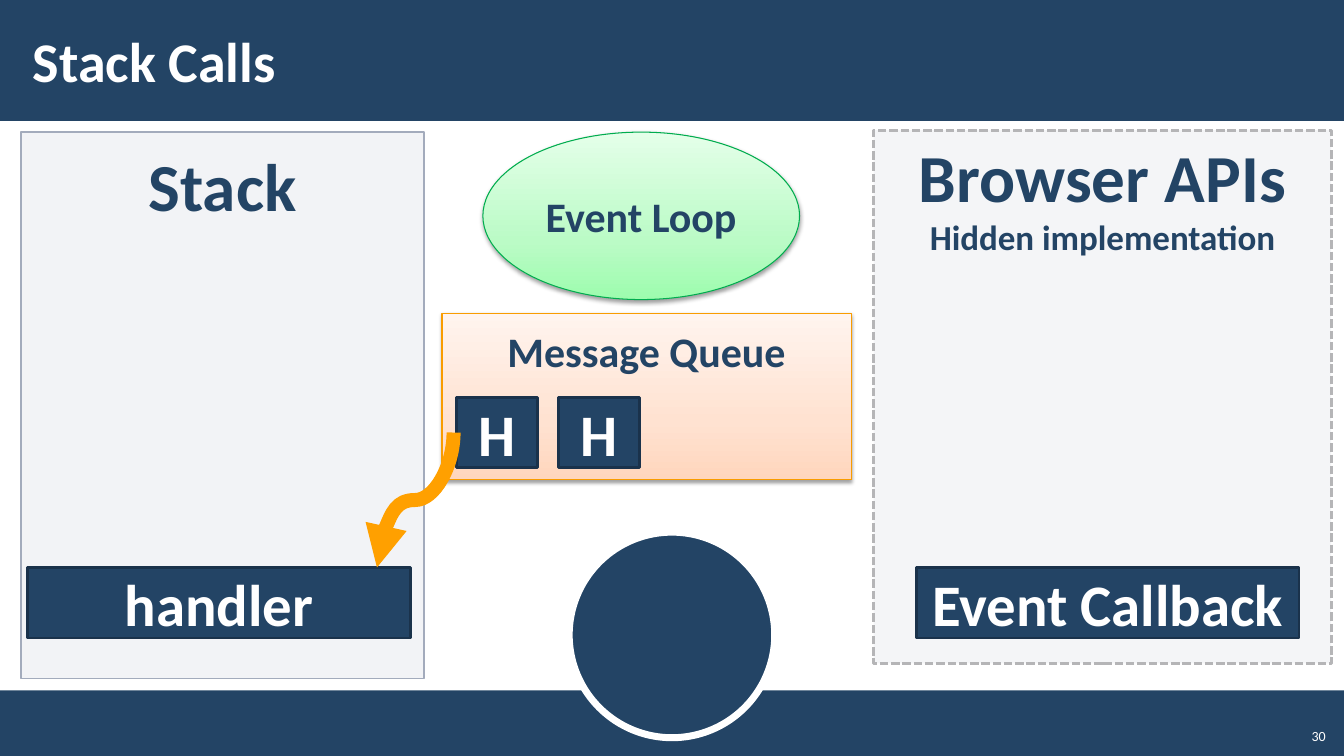
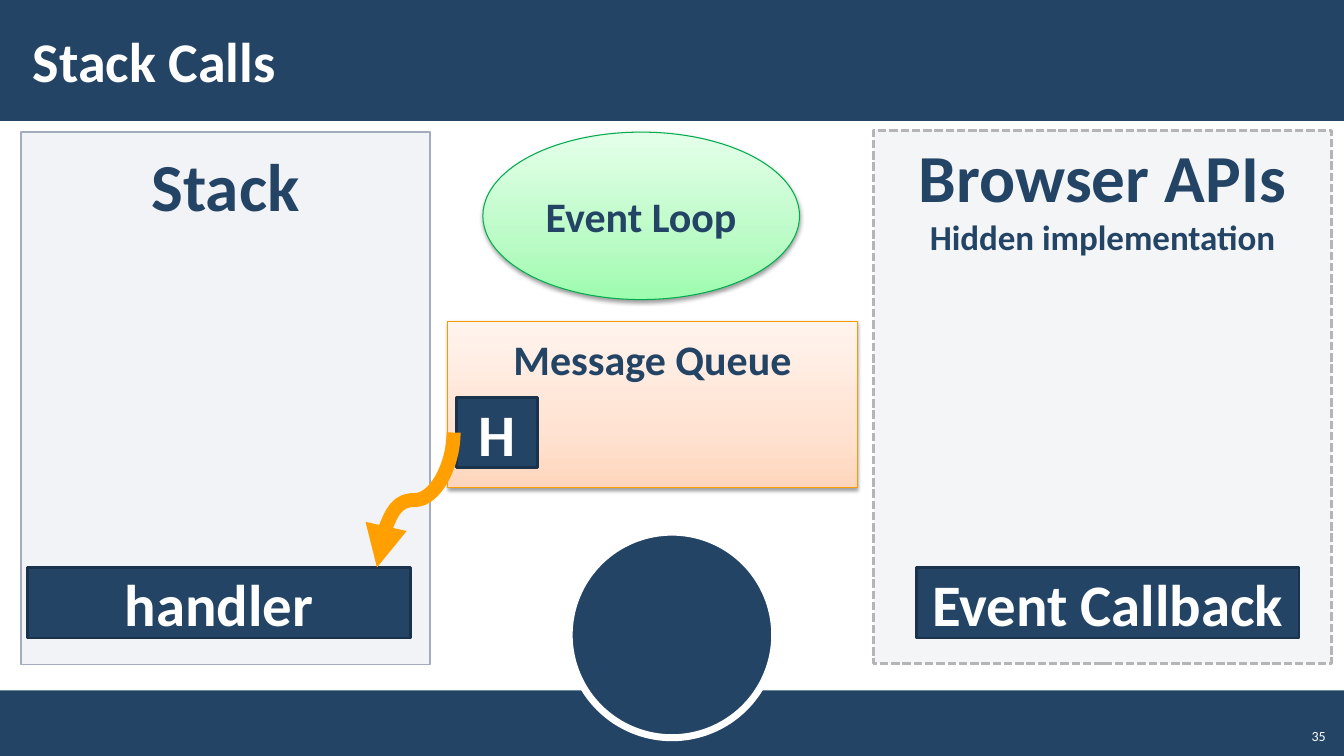
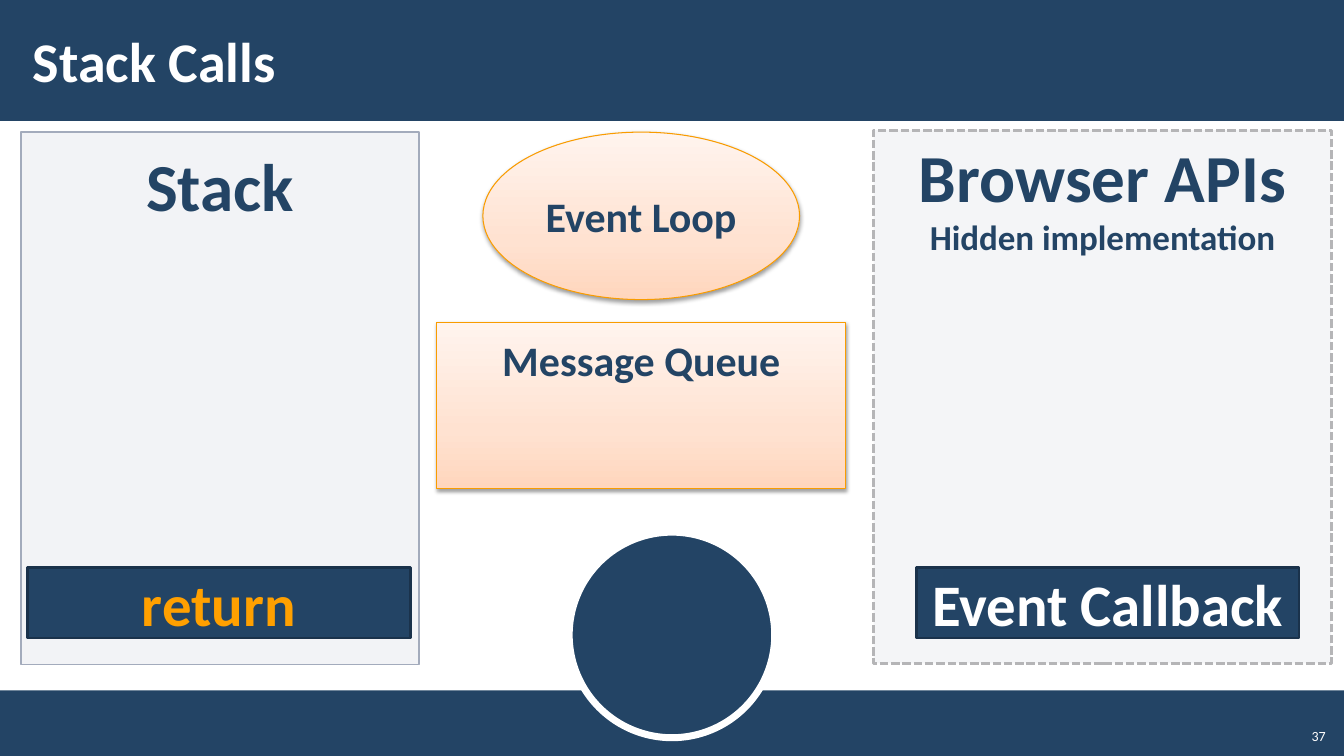
from copy import deepcopy
from dataclasses import dataclass

from pptx import Presentation
from pptx.dml.color import RGBColor
from pptx.enum.dml import MSO_LINE
from pptx.enum.shapes import MSO_CONNECTOR, MSO_SHAPE
from pptx.enum.text import MSO_ANCHOR, MSO_AUTO_SIZE, PP_ALIGN
from pptx.oxml.ns import qn
from pptx.oxml.xmlchemy import OxmlElement
from pptx.util import Cm, Pt


@dataclass(frozen=True)
class Theme:
    font: str = "Calibri"
    navy: str = "234465"
    navy_edge: str = "1A324B"
    white: str = "FFFFFF"
    orange: str = "FFA000"
    stack_fill: str = "C2C7D2"
    stack_edge: str = "A3ABBC"
    browser_fill: str = "F4F5F7"
    browser_edge: str = "B5B5B7"
    idle_edge: str = "F99C00"
    idle_stops: tuple = ("FFD6BD", "FFE2D1", "FFF4EE")
    active_edge: str = "00AC4E"
    active_stops: tuple = ("9DFCAE", "BBFBC6", "E4FFE9")
    stop_positions: tuple = (0, 0.35, 1)
    title_size: int = 40
    heading_size: int = 48
    call_size: int = 42
    label_size: int = 30
    note_size: int = 25
    number_size: int = 10


@dataclass(frozen=True)
class Box:
    left: float
    top: float
    width: float
    height: float

    def lengths(self):
        return [Cm(n) for n in (self.left, self.top, self.width, self.height)]

    def inner(self, dx, dy, width, height):
        return Box(self.left + dx, self.top + dy, width, height)


@dataclass(frozen=True)
class Step:
    number: str
    stack_width: float
    stack_height: float
    queue_top: float
    call: str
    call_color: str
    waiting: int
    loop_active: bool


THEME = Theme()
PAGE = Box(0, 0, 33.87, 19.05)
TITLE = Box(0.53, 0.28, 27, 2.46)
BROWSER = Box(22.02, 3.28, 11.53, 13.44)
EVENT_LOOP = Box(12.17, 3.33, 7.98, 4.22)
TOKENS = Box(11.51, 10.01, 4.6, 1.78)
PAGE_NUMBER = Box(32.64, 18.08, 1.02, 0.81)
STACK_LEFT, STACK_TOP, QUEUE_GAP = 0.53, 3.33, 0.45
CALL_WIDTH, CALL_HEIGHT, CALL_TOP = 9.65, 1.78, 14.3
PANEL_INSETS = (0.41, 0.3)

STEPS = [
    Step("30", 10.16, 13.77, 7.9, "handler", THEME.white, 2, True),
    Step("35", 10.31, 13.41, 8.1, "handler", THEME.white, 1, True),
    Step("37", 10.03, 13.41, 8.13, "return", THEME.orange, 0, False),
]


def rgb(code):
    return RGBColor.from_string(code)


def add_block(slide, preset, box, fill=None, edge=None, weight=1):
    block = slide.shapes.add_shape(preset, *box.lengths())
    block.shadow.inherit = False
    if fill:
        block.fill.solid()
        block.fill.fore_color.rgb = rgb(fill)
    if edge:
        block.line.color.rgb = rgb(edge)
        block.line.width = Pt(weight)
    else:
        block.line.fill.background()
    return block


def write(holder, lines, color, bold=True, align=PP_ALIGN.CENTER,
          anchor=MSO_ANCHOR.MIDDLE, insets=(0.25, 0.13)):
    frame = holder.text_frame
    frame.word_wrap = True
    frame.auto_size = MSO_AUTO_SIZE.NONE
    frame.vertical_anchor = anchor
    frame.margin_left = frame.margin_right = Cm(insets[0])
    frame.margin_top = frame.margin_bottom = Cm(insets[1])
    frame.text = "\n".join(text for text, _ in lines)
    for paragraph, (_, size) in zip(frame.paragraphs, lines):
        paragraph.alignment = align
        font = paragraph.font
        font.name, font.size, font.bold = THEME.font, Pt(size), bold
        font.color.rgb = rgb(color)


def append_xml(parent, tag, **attributes):
    child = OxmlElement(tag)
    for key, value in attributes.items():
        child.set(key, str(value))
    parent.append(child)
    return child


def shade(block, stops):
    block.fill.gradient()
    block.fill.gradient_angle = 90
    stop_list = block._element.spPr.find(qn("a:gradFill")).find(qn("a:gsLst"))
    stop_list.append(deepcopy(stop_list[-1]))
    for stop, color, position in zip(block.fill.gradient_stops, stops,
                                     THEME.stop_positions):
        stop.color.rgb = rgb(color)
        stop.position = position


def cast_shadow(block):
    effects = block._element.spPr.find(qn("a:effectLst"))
    shadow = append_xml(effects, "a:outerShdw", blurRad=Pt(3.1), dist=Pt(1.6),
                        dir=5400000, rotWithShape=0)
    color = append_xml(shadow, "a:srgbClr", val="000000")
    append_xml(color, "a:alpha", val=38000)


def add_glossy(slide, preset, box, active):
    edge = THEME.active_edge if active else THEME.idle_edge
    glossy = add_block(slide, preset, box, edge=edge, weight=0.75)
    shade(glossy, THEME.active_stops if active else THEME.idle_stops)
    cast_shadow(glossy)
    return glossy


def add_call(slide, box, text, color=THEME.white):
    call = add_block(slide, MSO_SHAPE.RECTANGLE, box, THEME.navy,
                     THEME.navy_edge, 2)
    write(call, [(text, THEME.call_size)], color)


def decorate_layout(layout, slide, page):
    for placeholder in list(layout.placeholders):
        if placeholder.placeholder_format.idx != 0:
            placeholder._element.getparent().remove(placeholder._element)
    diameter = 5.18
    footer = page.inner(0, 17.4, page.width, 1.65)
    badge = page.inner((page.width - diameter) / 2, 13.41, diameter, diameter)
    header = page.inner(0, 0, page.width, 3.05)
    bands = [
        add_block(slide, MSO_SHAPE.RECTANGLE, footer, THEME.navy),
        add_block(slide, MSO_SHAPE.OVAL, badge, THEME.navy, THEME.white, 5),
        add_block(slide, MSO_SHAPE.RECTANGLE, header, THEME.navy),
    ]
    for depth, band in enumerate(bands, start=2):
        layout.shapes._spTree.insert(depth, band._element)


def add_title(slide, box, text):
    title = slide.shapes.title
    title.left, title.top, title.width, title.height = box.lengths()
    write(title, [(text, THEME.title_size)], THEME.white,
          align=PP_ALIGN.LEFT, insets=(0.3, 0.1))


def add_stack(slide, box, call, call_color):
    stack = add_block(slide, MSO_SHAPE.RECTANGLE, box, THEME.stack_fill,
                      THEME.stack_edge)
    fill_color = stack._element.spPr.find(qn("a:solidFill"))[0]
    append_xml(fill_color, "a:alpha", val=20000)
    write(stack, [("Stack", THEME.heading_size)], THEME.navy,
          anchor=MSO_ANCHOR.TOP, insets=PANEL_INSETS)
    call_box = box.inner(0.16, CALL_TOP - box.top, CALL_WIDTH, CALL_HEIGHT)
    add_call(slide, call_box, call, call_color)


def add_queue(slide, box):
    queue = add_glossy(slide, MSO_SHAPE.RECTANGLE, box, active=False)
    write(queue, [("Message Queue", THEME.label_size)], THEME.navy,
          anchor=MSO_ANCHOR.TOP, insets=PANEL_INSETS)


def add_browser(slide, box):
    browser = add_block(slide, MSO_SHAPE.RECTANGLE, box, THEME.browser_fill,
                        THEME.browser_edge, 2)
    browser.line.dash_style = MSO_LINE.SQUARE_DOT
    write(browser, [("Browser APIs", THEME.heading_size),
                    ("Hidden implementation", THEME.note_size)],
          THEME.navy, anchor=MSO_ANCHOR.TOP)
    call_box = box.inner(1.07, CALL_TOP - box.top, CALL_WIDTH, CALL_HEIGHT)
    add_call(slide, call_box, "Event Callback")


def add_event_loop(slide, box, active):
    loop = add_glossy(slide, MSO_SHAPE.OVAL, box, active)
    write(loop, [("Event Loop", THEME.label_size)], THEME.navy)


def add_tokens(slide, box, count):
    width = 2.03
    pitch = box.width - width
    for index in range(count):
        add_call(slide, box.inner(index * pitch, 0, width, box.height), "H")
    if count:
        add_dispatch_arrow(slide, box.left - 0.08, box.top + box.height / 2,
                           box.left - 2.01, CALL_TOP)


def add_dispatch_arrow(slide, start_x, start_y, end_x, end_y):
    center_x, center_y = (start_x + end_x) / 2, (start_y + end_y) / 2
    half_length, half_drop = (end_y - start_y) / 2, (start_x - end_x) / 2
    arrow = slide.shapes.add_connector(
        MSO_CONNECTOR.CURVE,
        Cm(center_x - half_length), Cm(center_y - half_drop),
        Cm(center_x + half_length), Cm(center_y + half_drop))
    properties = arrow._element.spPr
    properties.find(qn("a:xfrm")).set("rot", "5400000")
    arrow.line.color.rgb = rgb(THEME.orange)
    arrow.line.width = Pt(10)
    append_xml(properties.find(qn("a:ln")), "a:tailEnd", type="triangle")
    append_xml(properties, "a:effectLst")


def add_page_number(slide, box, number):
    label = slide.shapes.add_textbox(*box.lengths())
    write(label, [(number, THEME.number_size)], THEME.white, bold=False,
          align=PP_ALIGN.RIGHT, anchor=MSO_ANCHOR.BOTTOM)


def build_step(slide, step):
    stack = Box(STACK_LEFT, STACK_TOP, step.stack_width, step.stack_height)
    queue = Box(stack.left + stack.width + QUEUE_GAP, step.queue_top,
                10.31, 4.19)
    add_title(slide, TITLE, "Stack Calls")
    add_stack(slide, stack, step.call, step.call_color)
    add_queue(slide, queue)
    add_browser(slide, BROWSER)
    add_event_loop(slide, EVENT_LOOP, step.loop_active)
    add_tokens(slide, TOKENS, step.waiting)
    add_page_number(slide, PAGE_NUMBER, step.number)


def main():
    deck = Presentation()
    deck.slide_width, deck.slide_height = Cm(PAGE.width), Cm(PAGE.height)
    layout = deck.slide_layouts.get_by_name("Title Only")
    slides = [deck.slides.add_slide(layout) for _ in STEPS]
    decorate_layout(layout, slides[0], PAGE)
    for slide, step in zip(slides, STEPS):
        build_step(slide, step)
    deck.save("out.pptx")


if __name__ == "__main__":
    main()
